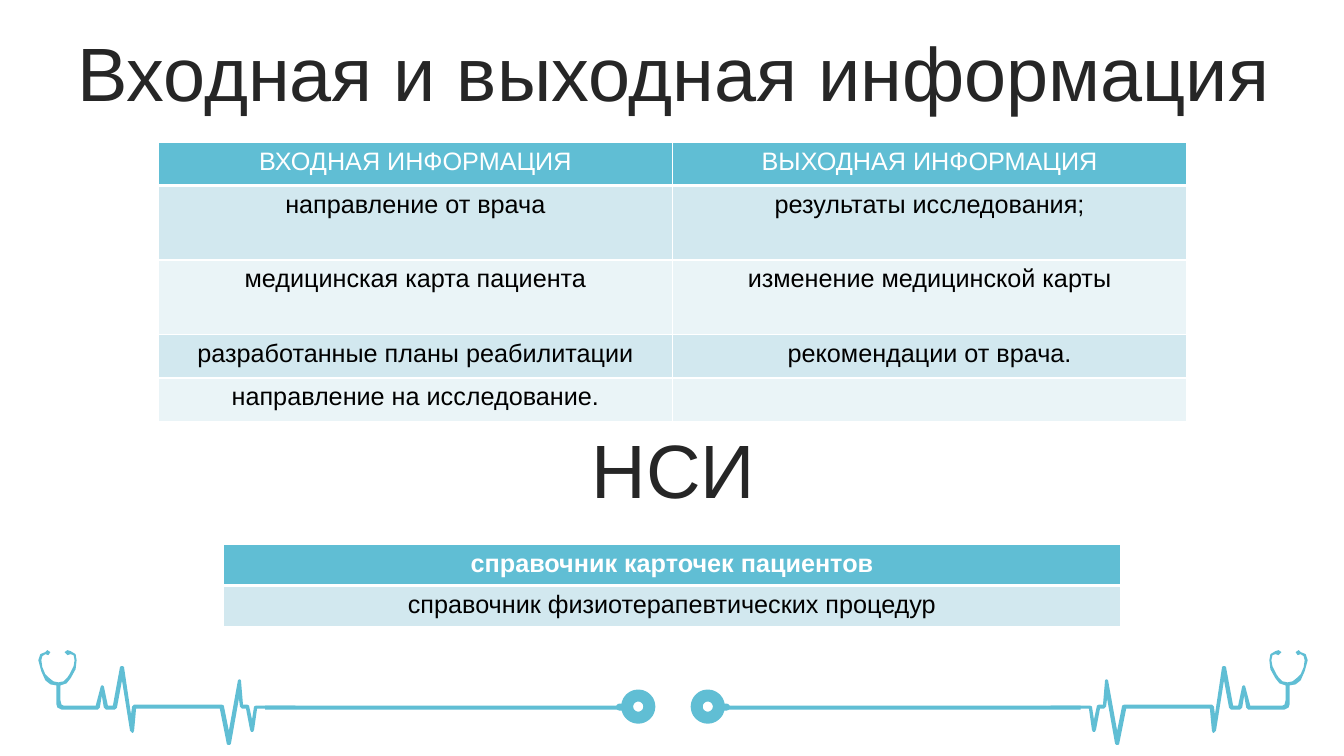
from lxml.etree import SubElement
from pptx import Presentation
from pptx.dml.color import RGBColor
from pptx.enum.shapes import MSO_SHAPE
from pptx.enum.text import MSO_ANCHOR, PP_ALIGN
from pptx.oxml.ns import qn
from pptx.util import Pt

PX = 9144
SLIDE_WIDTH, SLIDE_HEIGHT = 1333, 750
MIRROR_SUM = 1335
TEAL, WHITE, BLACK, DARK = "60BED4", "FFFFFF", "000000", "262626"
BANDS = ["D2E8EF", "EAF4F7"]

INFORMATION_ROWS = [
    ("ВХОДНАЯ ИНФОРМАЦИЯ", "ВЫХОДНАЯ ИНФОРМАЦИЯ"),
    ("направление от врача", "результаты исследования;"),
    ("медицинская карта пациента", "изменение медицинской карты"),
    ("разработанные планы реабилитации", "рекомендации от врача."),
    ("направление на исследование.", ""),
]
REFERENCE_ROWS = [
    ("справочник карточек пациентов",),
    ("справочник физиотерапевтических процедур",),
]

EARPIECES = [
    (38, 655), (40, 649), (45, 647), (47, 645), (50, 647), (48, 650), (45, 649),
    (42, 651), (41, 655), (42, 662), (45, 669), (48, 672), (53, 676), (58, 677),
    (63, 676), (67, 672), (69, 669), (73, 661), (74, 655), (73, 650), (70, 649),
    (67, 650), (64, 647), (67, 645), (70, 646), (75, 649), (76, 655), (75, 664),
    (70, 673), (66, 678), (60, 680),
]
PULSE_TOP = [
    (60, 695), (61, 699), (63, 700), (95, 700), (100, 681), (101, 680), (102, 680),
    (103, 681), (107, 700), (112, 700), (119, 662), (120, 661), (122, 661),
    (123, 662), (130, 709), (131, 701), (133, 699), (220, 699), (222, 700),
    (227, 725), (236, 675), (237, 674), (238, 674), (239, 675), (241, 699),
    (245, 699), (247, 700), (250, 714), (252, 701), (254, 700), (293, 700),
]
PULSE_BOTTOM = [
    (293, 703), (255, 703), (252, 724), (251, 726), (249, 726), (248, 724),
    (244, 703), (240, 703), (238, 701), (237, 693), (229, 738), (228, 739),
    (226, 739), (225, 738), (218, 703), (135, 703), (133, 725), (132, 727),
    (131, 727), (129, 725), (121, 675), (116, 702), (114, 704), (105, 704),
    (103, 702), (101, 690), (99, 702), (97, 704), (61, 704), (57, 702),
    (56, 699), (56, 680), (50, 679), (45, 675), (41, 666),
]


def color(value):
    """Turn a hex string into a colour."""
    return RGBColor.from_string(value)


def emu(*lengths):
    """Turn px lengths into EMU."""
    return [length * PX for length in lengths]


def write(frame, text, size=18, ink=BLACK, bold=False, line_spacing=None, before=None):
    """Write one centred paragraph into a text frame."""
    para = frame.paragraphs[0]
    para.alignment = PP_ALIGN.CENTER
    para.line_spacing = line_spacing
    para.space_before = before
    para.font.size = Pt(size)
    if text:
        span = para.add_run()
        span.text = text
        span.font.name = "Arial"
        span.font.size = Pt(size)
        span.font.bold = bold
        span.font.color.rgb = color(ink)


def paint(shape):
    """Give a shape a plain teal fill."""
    shape.shadow.inherit = False
    shape.fill.solid()
    shape.fill.fore_color.rgb = color(TEAL)
    shape.line.fill.background()


def add_heading(page, text, box):
    """Place a large centred heading in the box."""
    frame = page.shapes.add_textbox(*emu(*box)).text_frame
    frame.word_wrap = True
    frame.vertical_anchor = MSO_ANCHOR.MIDDLE
    write(frame, text, size=54, ink=DARK, line_spacing=0.9, before=Pt(10))


def add_borders(cell, top, bottom):
    """Draw white borders around a cell."""
    properties = cell._tc.get_or_add_tcPr()
    for index, (side, width) in enumerate(
        [("lnL", 1), ("lnR", 1), ("lnT", top), ("lnB", bottom)]
    ):
        line = properties.makeelement(qn(f"a:{side}"), {"w": str(Pt(width))})
        fill = SubElement(line, qn("a:solidFill"))
        SubElement(fill, qn("a:srgbClr"), val=WHITE)
        properties.insert(index, line)


def add_banded_table(page, rows, heights, box, bold_header=False):
    """Fill the box with a table that has a teal header and banded rows."""
    table = page.shapes.add_table(len(rows), len(rows[0]), *emu(*box)).table
    for row_index, (texts, height) in enumerate(zip(rows, heights)):
        header = row_index == 0
        table.rows[row_index].height = height * PX
        for column_index, text in enumerate(texts):
            cell = table.cell(row_index, column_index)
            cell.fill.solid()
            cell.fill.fore_color.rgb = color(TEAL if header else BANDS[(row_index - 1) % 2])
            add_borders(cell, 3 if row_index == 1 else 1, 3 if header else 1)
            write(cell.text_frame, text, ink=WHITE if header else BLACK,
                  bold=header and bold_header)


def add_stethoscope(page, mirrored):
    """Draw a stethoscope with a pulse line on the left, or mirrored on the right."""
    def across(x):
        return MIRROR_SUM - x if mirrored else x

    def place(kind, left, top, width, height):
        start = across(left + width) if mirrored else left
        return page.shapes.add_shape(kind, *emu(start, top, width, height))

    points = [(across(x), y) for x, y in EARPIECES + PULSE_TOP + PULSE_BOTTOM]
    builder = page.shapes.build_freeform(*points[0], scale=PX)
    builder.add_line_segments(points[1:], close=True)
    paint(builder.convert_to_shape())

    ring = place(MSO_SHAPE.OVAL, 622, 690, 22, 22)
    ring.shadow.inherit = False
    ring.fill.background()
    ring.line.color.rgb = color(TEAL)
    ring.line.width = Pt(8.57)

    joint = place(MSO_SHAPE.ROUNDED_RECTANGLE, 611, 698, 11, 7)
    joint.adjustments[0] = 0.5
    paint(joint)
    paint(place(MSO_SHAPE.RECTANGLE, 263, 700, 356, 4))


def main():
    """Build the slide and save it."""
    deck = Presentation()
    deck.slide_width, deck.slide_height = emu(SLIDE_WIDTH, SLIDE_HEIGHT)
    page = deck.slides.add_slide(deck.slide_layouts[6])
    for mirrored in (True, False):
        add_stethoscope(page, mirrored)
    add_heading(page, "Входная и выходная информация", (35, 37, 1266, 79))
    add_banded_table(page, INFORMATION_ROWS, [43, 74, 74, 43, 43], (157, 141, 1020, 277))
    add_heading(page, "НСИ", (35, 431, 1266, 79))
    add_banded_table(page, REFERENCE_ROWS, [41, 41], (222, 540, 889, 82), bold_header=True)
    deck.save("out.pptx")


if __name__ == "__main__":
    main()
